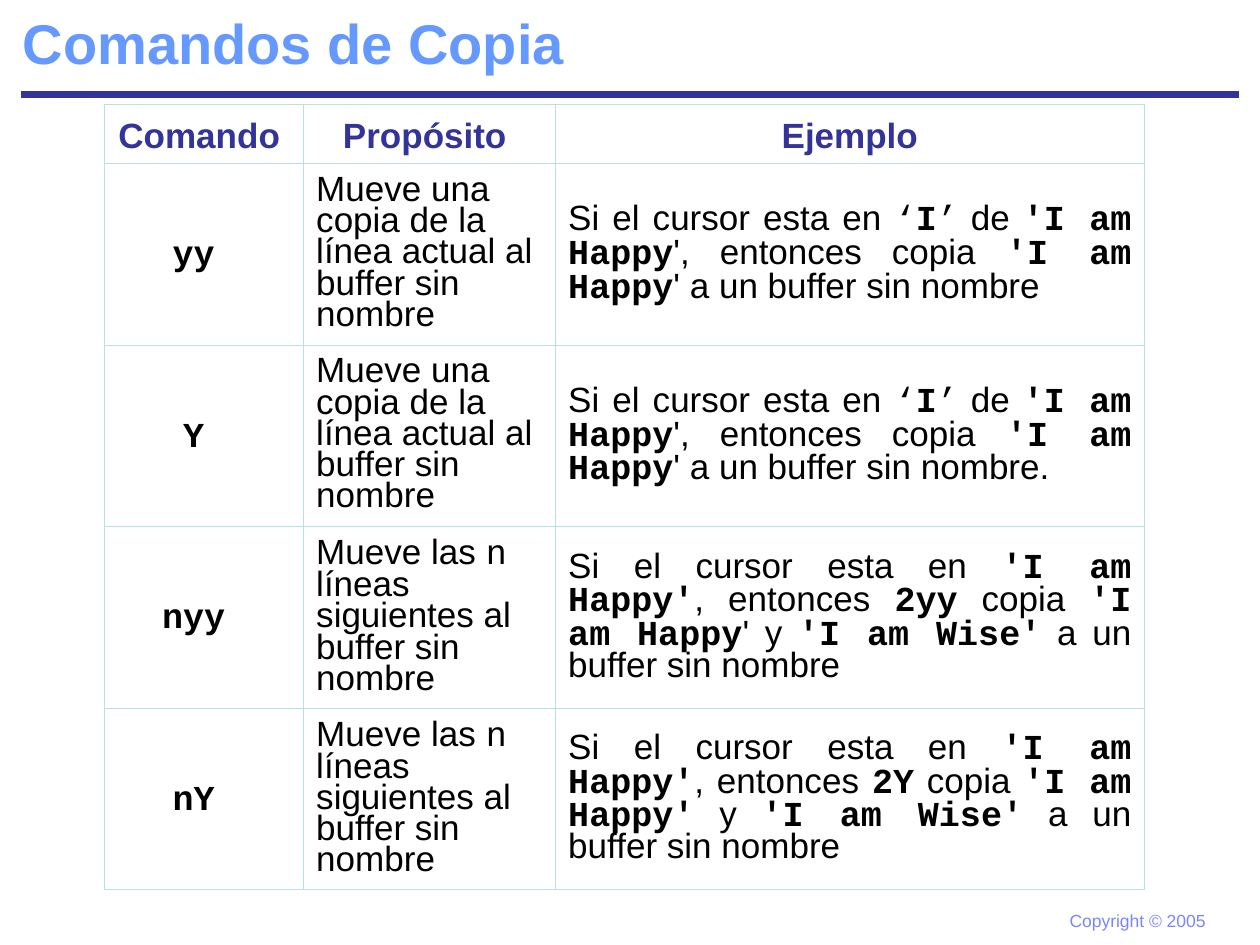
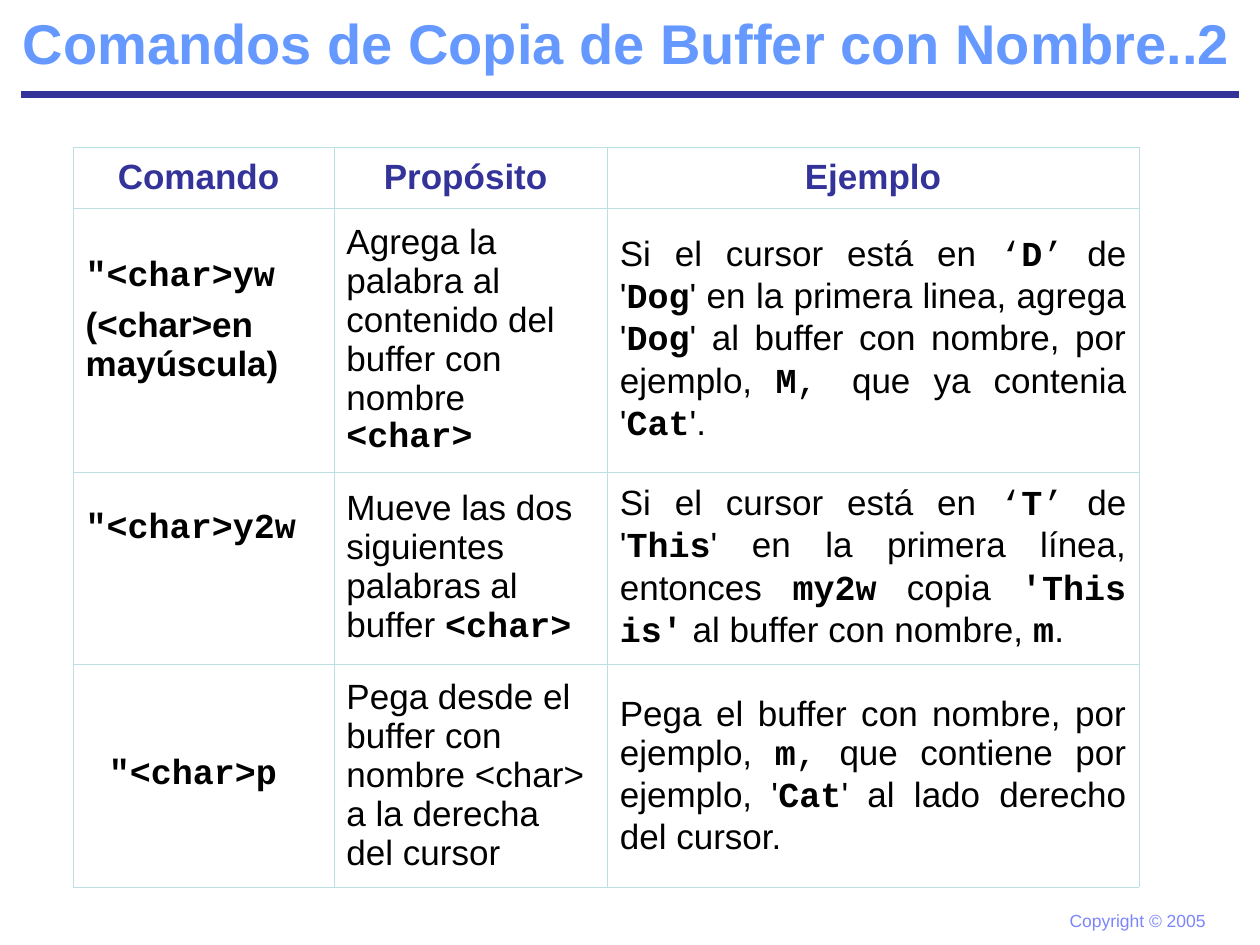
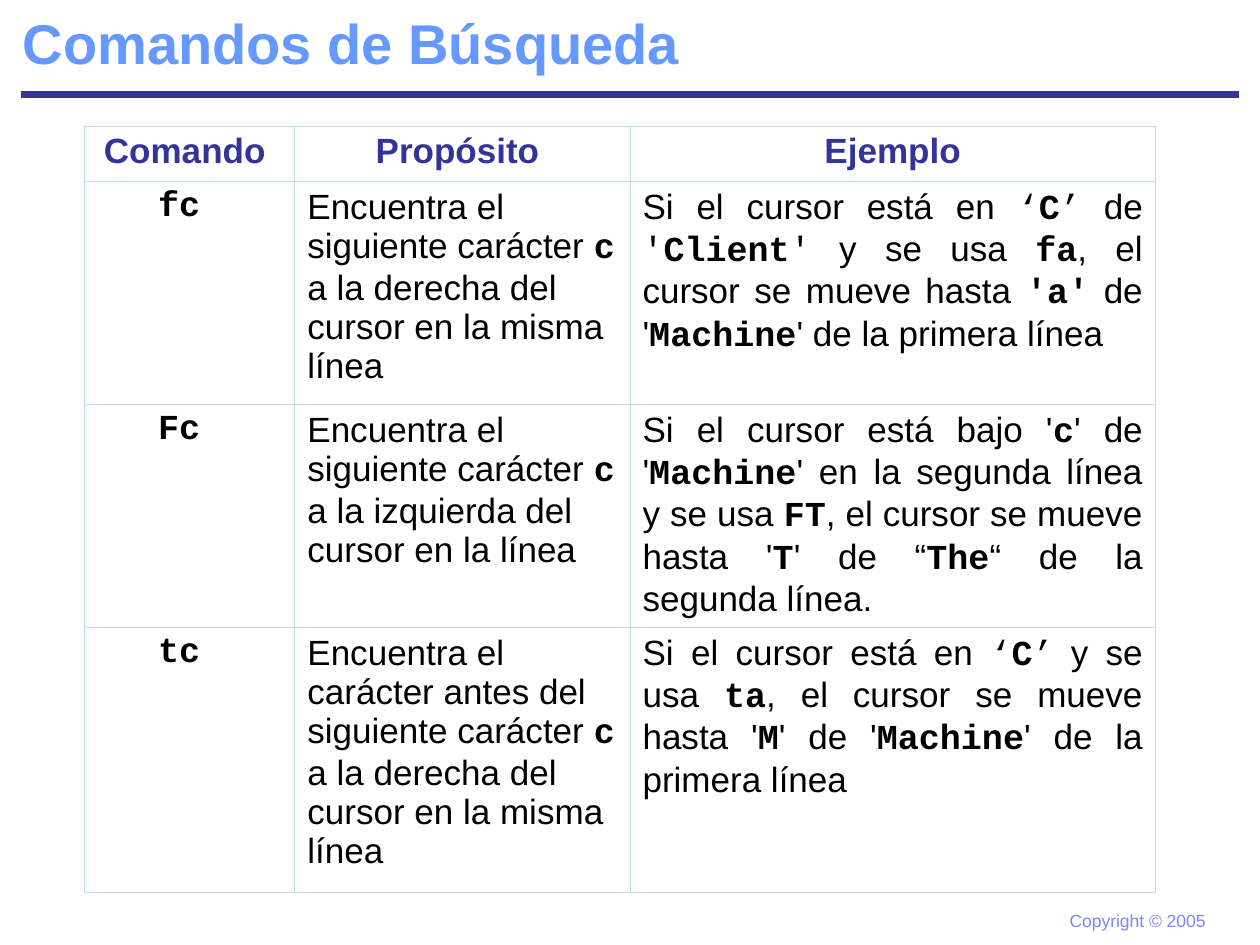
"""Build three slides of editor command tables: copy, named buffers and search."""
from dataclasses import dataclass

from lxml import etree
from pptx import Presentation
from pptx.dml.color import RGBColor
from pptx.enum.shapes import MSO_CONNECTOR
from pptx.enum.text import MSO_ANCHOR, PP_ALIGN
from pptx.oxml.ns import qn
from pptx.util import Inches, Pt


@dataclass(frozen=True)
class Theme:
    title_color: RGBColor = RGBColor(0x66, 0x99, 0xFF)
    accent: RGBColor = RGBColor(0x33, 0x33, 0x99)
    body_color: RGBColor = RGBColor(0, 0, 0)
    footer_color: RGBColor = RGBColor(0x7C, 0x85, 0xFC)
    border: str = "BBE0E3"
    sans: str = "Arial"
    mono: str = "Courier New"
    title_size: Pt = Pt(32)
    body_size: Pt = Pt(20)
    footer_size: Pt = Pt(10)
    rule_width: Pt = Pt(4.5)
    border_width: Pt = Pt(0.45)
    paragraph_gap: Pt = Pt(5)


THEME = Theme()
HEADER = ("*~Comando ~*", "*~Propósito ~*", "*~Ejemplo~*")
COPY_LINE = "Mueve una copia de la línea actual al buffer sin nombre"
COPY_LINES = "Mueve las ~n~ líneas siguientes al buffer sin nombre"
COPY_EXAMPLE = ("Si el cursor esta en ~‘~*I*~’~ de *'I am Happy*', entonces copia "
                "*'I am Happy*' a un buffer sin nombre")

SLIDES = [
    {
        "title": "Comandos de Copia",
        "position": (0.83, 0.83),
        "columns": (1.58, 2, 4.67),
        "heights": (0.47, 1.44, 1.44, 1.44, 1.44),
        "anchor": MSO_ANCHOR.MIDDLE,
        "command_spacing": 1.1,
        "text_spacing": 0.8,
        "raised_commands": {},
        "rows": [
            ("*yy *", COPY_LINE, COPY_EXAMPLE),
            ("*Y *", COPY_LINE, COPY_EXAMPLE + "."),
            ("*nyy *", COPY_LINES,
             "Si el cursor esta en *'I am Happy'*, entonces *2yy* copia *'I am Happy*' y "
             "*'I am Wise'* a un buffer sin nombre"),
            ("*nY *", COPY_LINES,
             "Si el cursor esta en *'I am Happy'*, entonces *2Y* copia *'I am Happy'* y "
             "*'I am Wise'* a un buffer sin nombre"),
        ],
    },
    {
        "title": "Comandos de Copia de Buffer con Nombre..2",
        "position": (0.58, 1.17),
        "columns": (2.07, 2.17, 4.22),
        "heights": (0.48, 2.1, 1.52, 1.77),
        "anchor": MSO_ANCHOR.MIDDLE,
        "command_spacing": 1.0,
        "text_spacing": 1.0,
        "raised_commands": {1: 0.37, 2: 0.67},
        "rows": [
            ('*"<char>yw*\n*~(<char>en mayúscula)~*',
             "Agrega la palabra al contenido del buffer con nombre *<char>*",
             "Si el cursor está en ~‘~*D*~’~ de '*Dog*' en la primera linea, agrega '*Dog*' "
             "al buffer con nombre, por ejemplo, *M*~, ~que ya contenia '*Cat*'."),
            ('*"<char>y2w*',
             "Mueve las dos siguientes palabras al buffer *<char>*",
             "Si el cursor está en ~‘~*T*~’~ de '*This*' en la primera línea, entonces "
             "*my2w* copia *'This is'* al buffer con nombre, *m*."),
            ('*"<char>p *',
             "Pega desde el buffer con nombre <char> a la derecha del cursor",
             "Pega el buffer con nombre, por ejemplo, *m*~,~ que contiene por ejemplo, "
             "'*Cat*' al lado derecho del cursor."),
        ],
    },
    {
        "title": "Comandos de Búsqueda",
        "position": (0.67, 1),
        "columns": (1.67, 2.66, 4.17),
        "heights": (0.44, 1.77, 1.77, 2.1),
        "anchor": MSO_ANCHOR.TOP,
        "command_spacing": 1.0,
        "text_spacing": 1.0,
        "raised_commands": {},
        "rows": [
            ("*fc *",
             "Encuentra el siguiente carácter *c* a la derecha del cursor en la misma línea",
             "Si el cursor está en ~‘~*C*~’~ de ~'~*Client*~'~ y se usa *fa*, el cursor se "
             "mueve hasta *'a'* de '*Machine*' de la primera línea"),
            ("*Fc *",
             "Encuentra el siguiente carácter *c* a la izquierda del cursor en la línea",
             "Si el cursor está bajo '*c*' de '*Machine*' en la segunda línea y se usa *FT*, "
             "el cursor se mueve hasta '*T*' de “*The*“ de la segunda línea."),
            ("*tc *",
             "Encuentra el carácter antes del siguiente carácter *c* a la derecha del cursor "
             "en la misma línea",
             "Si el cursor está en ~‘~*C*~’~ y se usa *ta*, el cursor se mueve hasta '*M*' de "
             "'*Machine*' de la primera línea"),
        ],
    },
]


def add_text(paragraph, text, size, color):
    """Add runs: asterisks mark bold monospace, tildes swap the typeface."""
    for outer, section in enumerate(text.split("*")):
        for inner, piece in enumerate(section.split("~")):
            if piece:
                run = paragraph.add_run()
                run.text = piece
                run.font.size = size
                run.font.color.rgb = color
                run.font.bold = outer % 2 == 1
                run.font.name = THEME.mono if (outer + inner) % 2 else THEME.sans


def add_borders(cell):
    """Draw the four thin borders of a table cell."""
    properties = cell._tc.get_or_add_tcPr()
    for index, side in enumerate(("a:lnL", "a:lnR", "a:lnT", "a:lnB")):
        line = etree.Element(qn(side), w=str(int(THEME.border_width)))
        fill = etree.SubElement(line, qn("a:solidFill"))
        etree.SubElement(fill, qn("a:srgbClr"), val=THEME.border)
        properties.insert(index, line)


presentation = Presentation()
presentation.slide_width = Inches(10)
presentation.slide_height = Inches(7.5)

for content in SLIDES:
    slide = presentation.slides.add_slide(presentation.slide_layouts[5])

    title = slide.shapes.title
    title.left, title.top = Inches(0.08), Inches(0)
    title.width, title.height = Inches(9.92), Inches(0.67)
    title.text_frame.vertical_anchor = MSO_ANCHOR.MIDDLE
    title.text_frame.word_wrap = True
    paragraph = title.text_frame.paragraphs[0]
    paragraph.alignment = PP_ALIGN.LEFT
    add_text(paragraph, f"*~{content['title']}~*", THEME.title_size, THEME.title_color)

    rule = slide.shapes.add_connector(
        MSO_CONNECTOR.STRAIGHT, Inches(0.17), Inches(0.75), Inches(9.83), Inches(0.75))
    rule.line.color.rgb = THEME.accent
    rule.line.width = THEME.rule_width
    etree.SubElement(rule._element.spPr, qn("a:effectLst"))

    footer = slide.shapes.add_textbox(Inches(8.39), Inches(7.17), Inches(1.28), Inches(0.27))
    footer.text_frame.word_wrap = False
    add_text(footer.text_frame.paragraphs[0], "Copyright © 2005",
             THEME.footer_size, THEME.footer_color)

    rows = [HEADER] + content["rows"]
    left, top = content["position"]
    table = slide.shapes.add_table(
        len(rows), len(HEADER), Inches(left), Inches(top),
        Inches(sum(content["columns"])), Inches(sum(content["heights"]))).table
    table.first_row = False
    table.horz_banding = False
    for column, width in zip(table.columns, content["columns"]):
        column.width = Inches(width)
    for row, height in zip(table.rows, content["heights"]):
        row.height = Inches(height)

    for row_index, texts in enumerate(rows):
        for column_index, text in enumerate(texts):
            cell = table.cell(row_index, column_index)
            cell.fill.background()
            add_borders(cell)
            cell.vertical_anchor = content["anchor"]
            is_header = row_index == 0
            is_command = column_index == 0
            alignment = (PP_ALIGN.CENTER, PP_ALIGN.LEFT, PP_ALIGN.JUSTIFY)[column_index]
            if is_header:
                alignment = PP_ALIGN.CENTER
            elif is_command and row_index in content["raised_commands"]:
                alignment = PP_ALIGN.LEFT
                cell.margin_bottom = Inches(content["raised_commands"][row_index])
            for line_index, line in enumerate(text.split("\n")):
                if line_index == 0:
                    paragraph = cell.text_frame.paragraphs[0]
                else:
                    paragraph = cell.text_frame.add_paragraph()
                    paragraph.space_before = THEME.paragraph_gap
                paragraph.alignment = alignment
                paragraph.line_spacing = content[
                    "command_spacing" if is_header or is_command else "text_spacing"]
                add_text(paragraph, line, THEME.body_size,
                         THEME.accent if is_header else THEME.body_color)

presentation.save("out.pptx")
